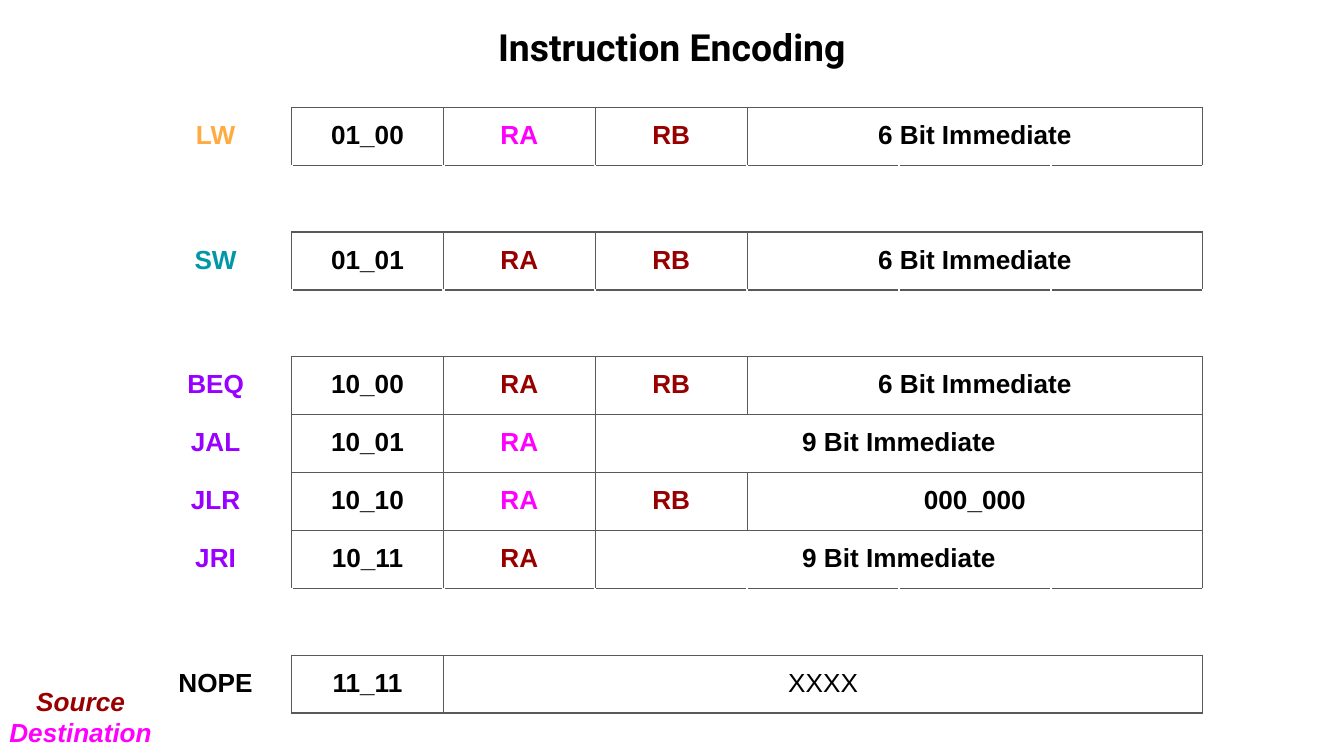
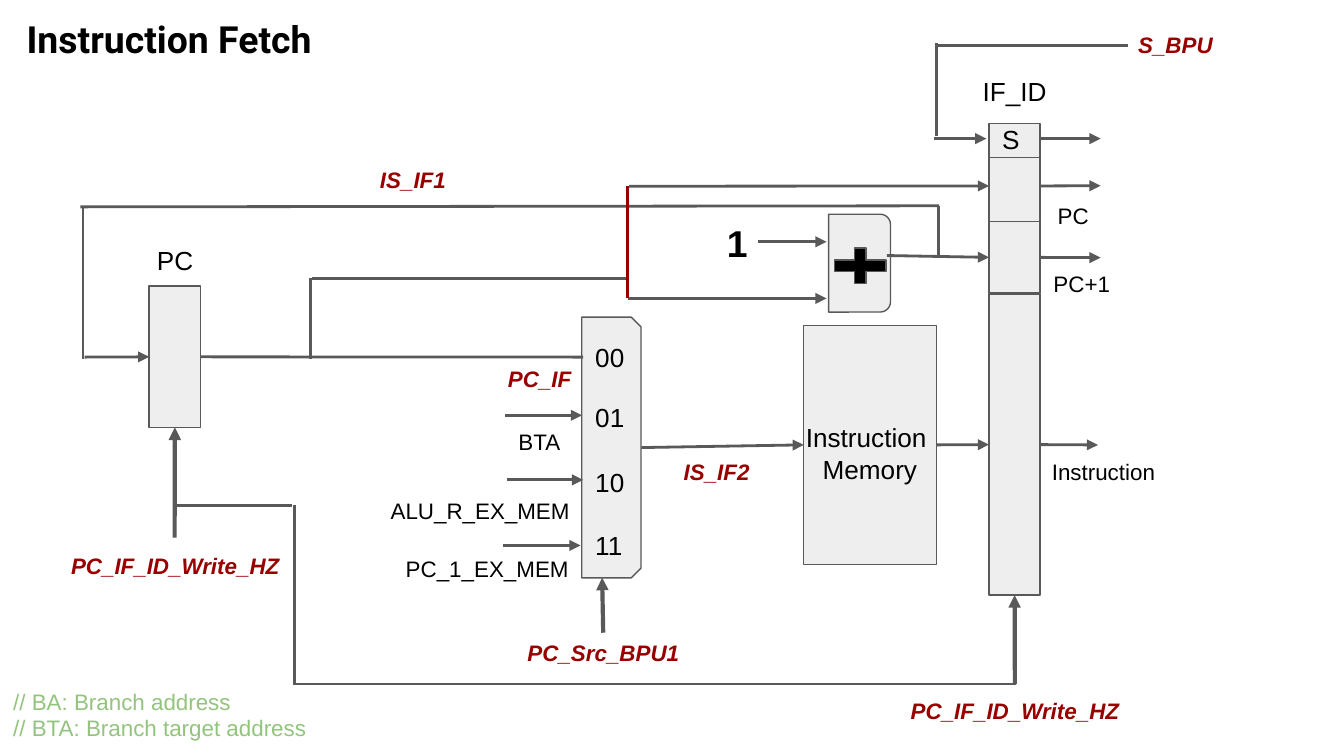
"""Build two slides on a small processor: instruction encoding and instruction fetch."""
from dataclasses import dataclass

from lxml.etree import SubElement
from pptx import Presentation
from pptx.dml.color import RGBColor
from pptx.enum.shapes import MSO_CONNECTOR, MSO_SHAPE
from pptx.enum.text import MSO_AUTO_SIZE, PP_ALIGN
from pptx.oxml.ns import qn
from pptx.util import Cm, Pt


@dataclass(frozen=True)
class Theme:
    font: str = "Arial"
    title_font: str = "Roboto"
    title: int = 20
    body: int = 14
    small: int = 12
    thin: float = 0.75
    wire: float = 1.5
    control: float = 2.25
    inset: float = 0.25
    black: str = "000000"
    white: str = "FFFFFF"
    line: str = "595959"
    block: str = "EEEEEE"
    source: str = "980000"
    dest: str = "FF00FF"
    load: str = "FFAB40"
    store: str = "0097A7"
    branch: str = "9900FF"
    note: str = "93C47D"


T = Theme()
LEFT, CENTER, RIGHT = PP_ALIGN.LEFT, PP_ALIGN.CENTER, PP_ALIGN.RIGHT


def style(p, size, color, bold=False, italic=False, align=LEFT, font=T.font):
    p.alignment = align
    p.font.name, p.font.size = font, Pt(size)
    p.font.bold, p.font.italic = bold, italic
    p.font.color.rgb = RGBColor.from_string(color)


def add_text(s, x, y, w, lines, size, colors, **look):
    h = 2 * T.inset + 0.043 * size * len(lines)
    tf = s.shapes.add_textbox(Cm(x), Cm(y), Cm(w), Cm(h)).text_frame
    tf.word_wrap = True
    tf.auto_size = MSO_AUTO_SIZE.SHAPE_TO_FIT_TEXT
    tf.margin_left = tf.margin_right = tf.margin_top = tf.margin_bottom = Cm(T.inset)
    for i, line in enumerate(lines):
        p = tf.add_paragraph() if i else tf.paragraphs[0]
        p.text = line
        style(p, size, colors[i % len(colors)], **look)


prs = Presentation()
prs.slide_width, prs.slide_height = Cm(25.4), Cm(14.29)
blank = prs.slide_layouts[6]
title_look = dict(bold=True, align=CENTER, font=T.title_font)

s = prs.slides.add_slide(blank)
add_text(s, 2.49, 0.2, 20.42, ["Instruction Encoding"], T.title, [T.black], **title_look)

RA_SRC, RA_DST, RB = ("RA", T.source), ("RA", T.dest), ("RB", T.source)
IMM6, IMM9 = ("6 Bit Immediate", T.black), ("9 Bit Immediate", T.black)
encoding = [
    [("LW", T.load), ("01_00", T.black), RA_DST, RB, IMM6],
    [],
    [("SW", T.store), ("01_01", T.black), RA_SRC, RB, IMM6],
    [],
    [("BEQ", T.branch), ("10_00", T.black), RA_SRC, RB, IMM6],
    [("JAL", T.branch), ("10_01", T.black), RA_DST, IMM9],
    [("JLR", T.branch), ("10_10", T.black), RA_DST, RB, ("000_000", T.black)],
    [("JRI", T.branch), ("10_11", T.black), RA_SRC, IMM9],
    [],
    [("NOPE", T.black), ("11_11", T.black), ("XXXX", T.black)],
]
cols, col_w, row_h = 7, 2.87, 1.07
tbl = s.shapes.add_table(len(encoding), cols, Cm(2.64), Cm(2.03),
                         Cm(cols * col_w), Cm(len(encoding) * row_h)).table
tbl.first_row = tbl.horz_banding = False
for col in tbl.columns:
    col.width = Cm(col_w)
for r, fields in enumerate(encoding):
    tbl.rows[r].height = Cm(row_h)
    for c in range(cols):
        cell = tbl.cell(r, c)
        cell.margin_left = cell.margin_right = Cm(T.inset)
        cell.margin_top = cell.margin_bottom = Cm(T.inset)
        flat = T.white if c == 0 else T.line
        if fields:
            sides = [(T.white if c == 0 else T.line, T.thin), (T.line, T.thin)]
        else:
            sides = [(T.white, T.thin if c == 0 else T.wire), (T.white, T.wire)]
        sides += [(flat, T.thin)] * 2
        tcPr = cell._tc.get_or_add_tcPr()
        for tag, (color, width) in zip(("a:lnL", "a:lnR", "a:lnT", "a:lnB"), sides):
            ln = SubElement(tcPr, qn(tag), w=str(Pt(width)))
            SubElement(SubElement(ln, qn("a:solidFill")), qn("a:srgbClr"), val=color)
        cell.fill.background()
        if c < len(fields):
            text, color = fields[c]
            p = cell.text_frame.paragraphs[0]
            p.text = text
            style(p, T.body, color, bold=text != "XXXX", align=CENTER)
    if fields:
        tbl.cell(r, len(fields) - 1).merge(tbl.cell(r, cols - 1))

add_text(s, -0.76, 12.7, 4.57, ["Source", "Destination"], T.body, [T.source, T.dest],
         bold=True, italic=True, align=CENTER)

s = prs.slides.add_slide(blank)
add_text(s, 0, 0.05, 6.4, ["Instruction Fetch"], T.title, [T.black], **title_look)

RECT = MSO_SHAPE.RECTANGLE
blocks = {}
for name, kind, x, y, w, h, turn, fill in [
    ("latch_pc", RECT, 18.69, 2.84, 0.97, 1.35, 0, T.block),
    ("latch_next", RECT, 18.69, 4.19, 0.97, 1.35, 0, T.block),
    ("latch_instr", RECT, 18.69, 5.56, 0.97, 5.69, 0, T.block),
    ("latch_s", RECT, 18.69, 2.34, 0.97, 0.64, 0, T.block),
    ("memory", RECT, 15.19, 6.15, 2.51, 4.52, 0, T.block),
    ("pc", RECT, 2.82, 5.41, 0.97, 2.67, 0, T.block),
    ("adder", MSO_SHAPE.ROUND_2_SAME_RECTANGLE, 15.32, 4.39, 1.85, 1.17, 90, T.block),
    ("plus", MSO_SHAPE.MATH_PLUS, 15.6, 4.57, 1.32, 0.91, 0, T.black),
    ("mux", MSO_SHAPE.SNIP_2_SAME_RECTANGLE, 9.09, 7.9, 4.93, 1.12, 90, T.block),
]:
    sp = s.shapes.add_shape(kind, Cm(x), Cm(y), Cm(w), Cm(h))
    sp.rotation = turn
    sp.shadow.inherit = False
    sp.fill.solid()
    sp.fill.fore_color.rgb = RGBColor.from_string(fill)
    sp.line.color.rgb = RGBColor.from_string(T.line)
    sp.line.width = Pt(T.thin)
    blocks[name] = sp

arrows = [
    (("memory", 3), ("latch_instr", 1)),
    ((14.33, 5.64), (15.62, 5.64)),
    ((14.33, 4.57), (15.62, 4.57)),
    ((16.76, 4.83), ("latch_next", 1)),
    ((1.6, 6.75), ("pc", 1)),
    ((9.55, 7.85), (11, 7.85)),
    ((9.58, 9.07), (11.02, 9.07)),
    ((9.5, 10.31), (10.97, 10.31)),
    ((12.12, 8.46), ("memory", 1)),
    ((11.89, 3.52), ("latch_pc", 1)),
    ((17.65, 2.62), (18.64, 2.62)),
    ((19.66, 2.62), (20.8, 2.62)),
    (("latch_pc", 3), (20.8, 3.51)),
    (("latch_next", 3), (20.8, 4.87)),
    (("latch_instr", 3), (20.75, 8.41)),
]
control_arrows = [
    ((3.3, 10.16), ("pc", 2)),
    ((19.18, 12.93), ("latch_instr", 2)),
    ((11.4, 11.96), (11.38, 10.92)),
]
plain = [
    (("pc", 3), (11.02, 6.75)),
    ((5.87, 6.78), (5.87, 5.26)),
    ((5.89, 5.26), (11.84, 5.26)),
    ((11.86, 5.64), (14.38, 5.64)),
    ((17.73, 4.85), (17.73, 3.89)),
    ((1.52, 3.91), (17.75, 3.89)),
    ((1.57, 3.91), (1.57, 6.78)),
    ((17.7, 2.57), (17.7, 0.81)),
    ((17.73, 0.86), (21.31, 0.86)),
    ((3.35, 9.55), (5.51, 9.55)),
    ((5.56, 9.55), (5.56, 12.95)),
    ((5.56, 12.93), (19.2, 12.93)),
]
red = [((11.86, 5.64), (11.86, 3.51))]
for wires, width, color, head in [
    (arrows, T.wire, T.line, True),
    (control_arrows, T.control, T.line, True),
    (plain, T.wire, T.line, False),
    (red, T.wire, T.source, False),
]:
    for begin, end in wires:
        x1, y1 = (0, 0) if begin[0] in blocks else begin
        x2, y2 = (0, 0) if end[0] in blocks else end
        cxn = s.shapes.add_connector(MSO_CONNECTOR.STRAIGHT, Cm(x1), Cm(y1), Cm(x2), Cm(y2))
        if begin[0] in blocks:
            cxn.begin_connect(blocks[begin[0]], begin[1])
        if end[0] in blocks:
            cxn.end_connect(blocks[end[0]], end[1])
        cxn.line.color.rgb = RGBColor.from_string(color)
        cxn.line.width = Pt(width)
        spPr = cxn._element.spPr
        if head:
            SubElement(spPr.find(qn("a:ln")), qn("a:tailEnd"), type="triangle")
        SubElement(spPr, qn("a:effectLst"))

for x, y, w, text, align in [
    (9.6, 11.84, 3.61, "PC_Src_BPU1", CENTER),
    (16.38, 12.93, 5.61, "PC_IF_ID_Write_HZ", CENTER),
    (0.51, 10.19, 5.61, "PC_IF_ID_Write_HZ", CENTER),
    (6.55, 2.9, 2.51, "IS_IF1", CENTER),
    (12.29, 8.41, 2.51, "IS_IF2", CENTER),
    (7.39, 6.65, 3.66, "PC_IF", RIGHT),
    (21.26, 0.33, 2.36, "S_BPU", LEFT),
]:
    add_text(s, x, y, w, [text], T.small, [T.source], bold=True, italic=True, align=align)

for x, y, w, text, align in [
    (19.74, 3.58, 1.6, "PC", LEFT),
    (19.66, 4.85, 1.96, "PC+1", LEFT),
    (19.63, 8.41, 2.74, "Instruction", LEFT),
    (9.12, 7.85, 1.72, "BTA", RIGHT),
    (6.4, 9.14, 4.62, "ALU_R_EX_MEM", RIGHT),
    (7.39, 10.24, 3.61, "PC_1_EX_MEM", RIGHT),
]:
    add_text(s, x, y, w, [text], T.small, [T.black], align=align)

for x, y, w, lines, align in [
    (14.94, 7.72, 3, ["Instruction ", "Memory"], CENTER),
    (2.51, 4.37, 1.6, ["PC"], CENTER),
    (18.21, 1.17, 1.93, ["IF_ID"], CENTER),
    (18.69, 2.08, 1.17, ["S"], LEFT),
    (11, 6.2, 1.17, ["00"], LEFT),
    (11, 7.34, 1.17, ["01"], LEFT),
    (11, 8.56, 1.17, ["10"], LEFT),
    (11, 9.75, 1.17, ["11"], LEFT),
]:
    add_text(s, x, y, w, lines, T.body, [T.black], align=align)

add_text(s, 13.49, 3.91, 1.02, ["1"], T.title, [T.black], bold=True)
add_text(s, 0, 12.75, 6.4, ["// BA: Branch address", "// BTA: Branch target address"],
         T.small, [T.note])

prs.save("out.pptx")
